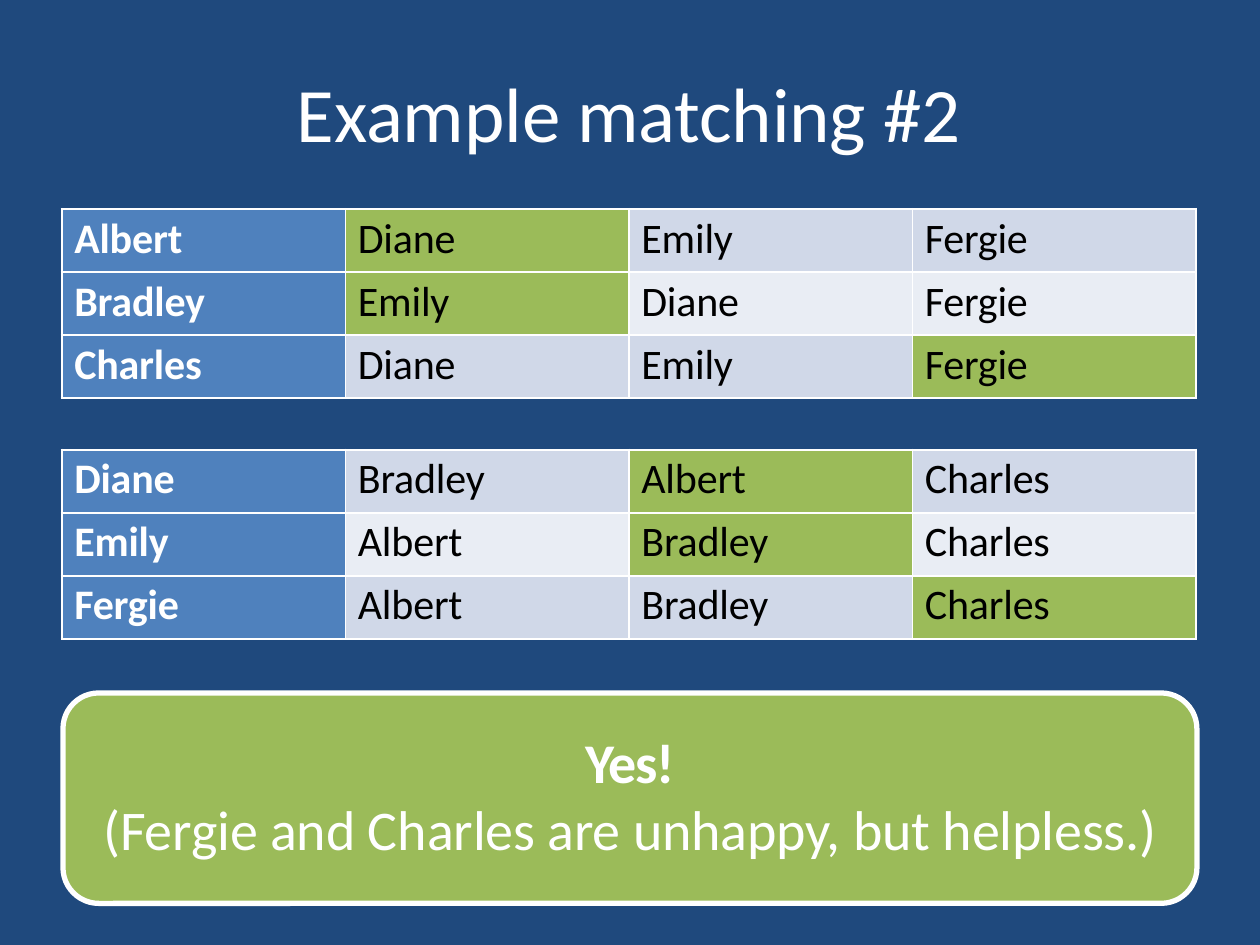
from lxml import etree
from pptx import Presentation
from pptx.dml.color import RGBColor
from pptx.enum.shapes import MSO_SHAPE
from pptx.enum.text import MSO_ANCHOR, PP_ALIGN
from pptx.oxml.ns import qn
from pptx.util import Inches, Pt

RECTANGLE = MSO_SHAPE.RECTANGLE
ROUNDED = MSO_SHAPE.ROUNDED_RECTANGLE
MIDDLE = MSO_ANCHOR.MIDDLE
CENTER = PP_ALIGN.CENTER
FONT = "Calibri"
COLORS = {
    "navy": "1F497D",
    "blue": "4F81BD",
    "green": "9BBB59",
    "band_dark": "D0D8E8",
    "band_light": "E9EDF4",
    "white": "FFFFFF",
    "black": "000000",
}
BORDERS = {"a:lnL": 1, "a:lnR": 1, "a:lnT": 1.5, "a:lnB": 1.5}

MEN = [
    ["Albert", "Diane", "Emily", "Fergie"],
    ["Bradley", "Emily", "Diane", "Fergie"],
    ["Charles", "Diane", "Emily", "Fergie"],
]
WOMEN = [
    ["Diane", "Bradley", "Albert", "Charles"],
    ["Emily", "Albert", "Bradley", "Charles"],
    ["Fergie", "Albert", "Bradley", "Charles"],
]
MATCHES = {"Albert": "Diane", "Bradley": "Emily", "Charles": "Fergie"}
MATCHES.update({woman: man for man, woman in MATCHES.items()})


def rgb(name):
    return RGBColor.from_string(COLORS[name])


def paint(fill, name):
    fill.solid()
    fill.fore_color.rgb = rgb(name)


def write(p, text, size, color, bold=False, spacing=-0.1):
    r = p.add_run()
    r.text = text
    values = {"name": FONT, "size": Pt(size), "bold": bold}
    for key, value in values.items():
        setattr(r.font, key, value)
    r.font.color.rgb = rgb(color)
    r.font._element.set("spc", str(round(spacing * 100)))


def set_frame(tf):
    values = {"margin_left": 0, "margin_right": 0, "margin_top": 0,
              "margin_bottom": 0, "word_wrap": True, "vertical_anchor": MIDDLE}
    for key, value in values.items():
        setattr(tf, key, value)


def add_borders(cell, first_column):
    tc_pr = cell._tc.get_or_add_tcPr()
    for i, (tag, points) in enumerate(BORDERS.items()):
        width = 1.5 if first_column and tag == "a:lnL" else points
        ln = etree.Element(qn(tag), w=str(Pt(width)))
        solid = etree.SubElement(ln, qn("a:solidFill"))
        etree.SubElement(solid, qn("a:srgbClr"), val=COLORS["white"])
        tc_pr.insert(i, ln)


def add_backdrop(s, width, height):
    sp = s.shapes.add_shape(RECTANGLE, 0, 0, width, height)
    sp.shadow.inherit = False
    paint(sp.fill, "navy")
    sp.line.fill.background()
    s.shapes._spTree.insert(2, sp._element)


def add_title(s, text, left, top, width, height):
    title = s.shapes.title
    box = {"left": left, "top": top, "width": width, "height": height}
    for key, value in box.items():
        setattr(title, key, Inches(value))
    tf = title.text_frame
    set_frame(tf)
    p = tf.paragraphs[0]
    p.alignment = CENTER
    write(p, text, 44, "white")


def add_preferences(s, rows, left, top, width, height):
    frame = s.shapes.add_table(len(rows), len(rows[0]), Inches(left),
                               Inches(top), Inches(width), Inches(height))
    table = frame.table
    table.first_row = table.horz_banding = False
    for i, names in enumerate(rows):
        for j, name in enumerate(names):
            cell = table.cell(i, j)
            values = {"margin_left": Inches(0.1), "margin_right": 0,
                      "margin_top": Inches(0.03), "margin_bottom": Inches(0.06),
                      "vertical_anchor": MIDDLE}
            for key, value in values.items():
                setattr(cell, key, value)
            if j == 0:
                fill = "blue"
            elif MATCHES[names[0]] == name:
                fill = "green"
            else:
                fill = "band_light" if i % 2 else "band_dark"
            paint(cell.fill, fill)
            add_borders(cell, j == 0)
            write(cell.text_frame.paragraphs[0], name, 24,
                  "black" if j else "white", bold=j == 0)


def add_verdict(s, answer, reason, left, top, width, height):
    sp = s.shapes.add_shape(ROUNDED, Inches(left), Inches(top),
                            Inches(width), Inches(height))
    sp.shadow.inherit = False
    sp.adjustments[0] = 0.17
    paint(sp.fill, "green")
    paint(sp.line.fill, "white")
    sp.line.width = Pt(3)
    tf = sp.text_frame
    set_frame(tf)
    tf.margin_bottom = Inches(0.06)
    lines = [(tf.paragraphs[0], answer, True, -0.7),
             (tf.add_paragraph(), reason, False, -0.1)]
    for p, text, bold, spacing in lines:
        p.alignment = CENTER
        write(p, text, 32, "white", bold, spacing)


prs = Presentation()
prs.slide_width, prs.slide_height = Inches(10), Inches(7.5)
s = prs.slides.add_slide(prs.slide_layouts[5])
add_backdrop(s, prs.slide_width, prs.slide_height)
add_title(s, "Example matching #2", 2.34, 0.51, 5.3, 0.76)
for rows, top in ((MEN, 1.66), (WOMEN, 3.57)):
    add_preferences(s, rows, 0.49, top, 9, 1.5)
add_verdict(s, "Yes!", "(Fergie and Charles are unhappy, but helpless.)",
            0.5, 5.5, 9, 1.67)
prs.save("out.pptx")
